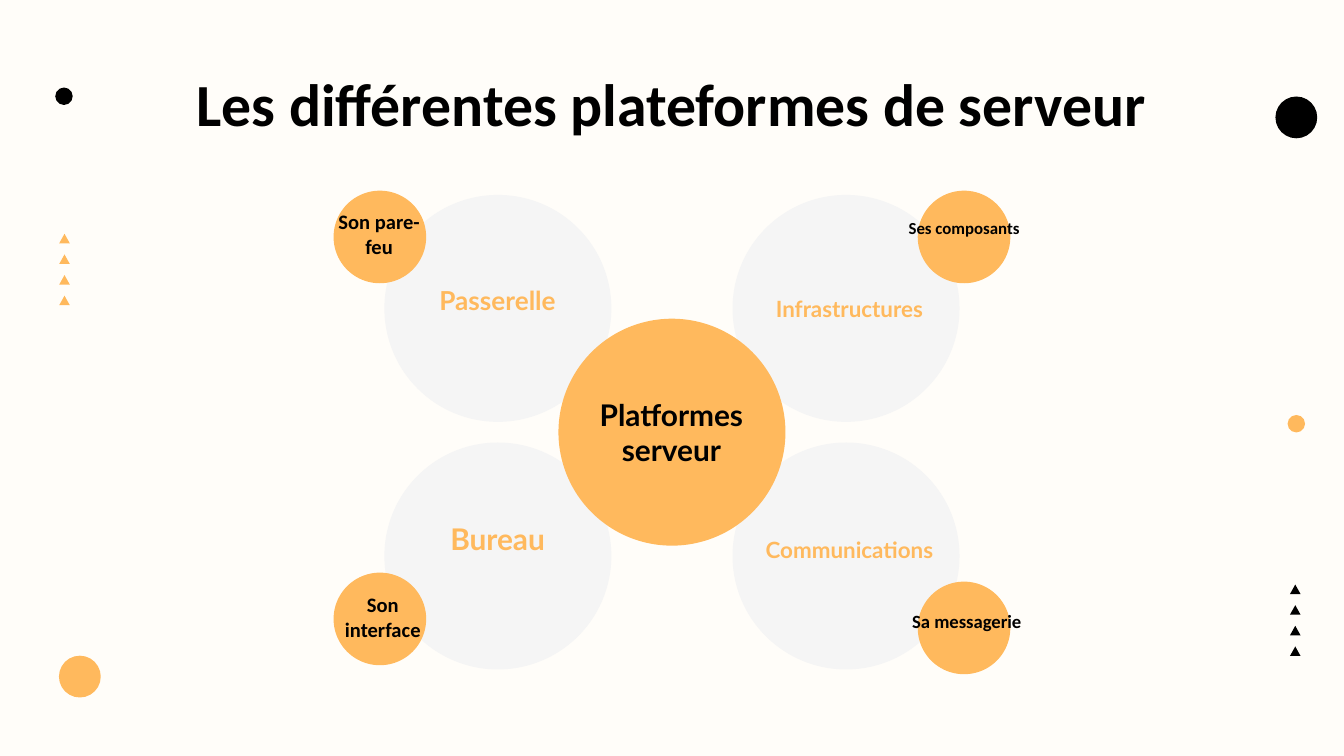
from pptx import Presentation
from pptx import util as u
from pptx.dml import color
from pptx.enum import shapes, text

BLACK, ORANGE, GREY, CREAM = "000000", "FFB95D", "F5F5F5", "FFFDF9"


def rgb(code):
    return color.RGBColor.from_string(code)


class Deck:
    """Hold the style and the current slide, and draw its elements in centimetres."""

    inset = u.Cm(0.25)

    def __init__(self, width, height):
        self.prs = Presentation()
        self.prs.slide_width, self.prs.slide_height = u.Cm(width), u.Cm(height)
        self.s = self.prs.slides.add_slide(self.prs.slide_layouts[6])
        fill = self.s.background.fill
        fill.solid()
        fill.fore_color.rgb = rgb(CREAM)

    def shape(self, kind, x, y, w, h, fill):
        sp = self.s.shapes.add_shape(kind, u.Cm(x), u.Cm(y), u.Cm(w), u.Cm(h))
        sp.shadow.inherit = False
        sp.fill.solid()
        sp.fill.fore_color.rgb = rgb(fill)
        sp.line.fill.background()

    def circle(self, cx, cy, d, fill):
        self.shape(shapes.MSO_SHAPE.OVAL, cx - d / 2, cy - d / 2, d, d, fill)

    def triangles(self, x, y, fill):
        for i in range(4):
            self.shape(shapes.MSO_SHAPE.ISOSCELES_TRIANGLE, x, y + i * 0.39, 0.2, 0.18, fill)

    def label(self, words, x, y, w, h, size, font, ink, anchor=text.MSO_ANCHOR.TOP):
        sp = self.s.shapes.add_textbox(u.Cm(x), u.Cm(y), u.Cm(w), u.Cm(h))
        tf = sp.text_frame
        tf.word_wrap = True
        tf.vertical_anchor = anchor
        tf.margin_left = tf.margin_right = tf.margin_top = tf.margin_bottom = self.inset
        tf.text = words
        p = tf.paragraphs[0]
        p.alignment = text.PP_ALIGN.CENTER
        r = p.runs[0]
        r.font.name, r.font.size, r.font.bold = font, u.Pt(size), True
        r.font.color.rgb = rgb(ink)


def main():
    deck = Deck(25.4, 14.29)

    deck.triangles(24.38, 11.05, BLACK)
    deck.triangles(1.12, 4.42, ORANGE)
    for dot in [(1.51, 12.79, 0.79, ORANGE), (24.5, 8.01, 0.33, ORANGE),
                (1.21, 1.82, 0.33, BLACK), (24.5, 2.22, 0.79, BLACK)]:
        deck.circle(*dot)

    deck.label("Les différentes plateformes de serveur", 0.86, 1.02, 23.67, 1.6, 32, "Calibri", BLACK)

    hub_x, hub_y = 12.7, 8.17
    for dx in (3.29, -3.29):
        for dy in (-2.34, 2.34):
            deck.circle(hub_x + dx, hub_y + dy, 4.29, GREY)
    deck.circle(hub_x, hub_y, 4.29, ORANGE)
    for dx, cy in [(-5.52, 4.48), (5.52, 4.48), (5.52, 11.87), (-5.52, 11.7)]:
        deck.circle(hub_x + dx, cy, 1.75, ORANGE)

    deck.label("Platformes serveur", 10.39, 7.24, 4.6, 1.4, 16, "Lato", BLACK)
    for words, x, y, w, h, size in [
        ("Passerelle", 7.92, 5.13, 2.97, 1.42, 14),
        ("Infrastructures", 13.97, 5.33, 4.17, 1.52, 12),
        ("Bureau", 7.92, 9.6, 2.97, 1.5, 16),
        ("Communications", 13.97, 9.88, 4.17, 1.42, 12),
    ]:
        deck.label(words, x, y, w, h, size, "Lato", ORANGE)
    for words, x, y, w, size in [
        ("Son pare-feu", 6.02, 3.89, 2.29, 11),
        ("Son interface", 6.17, 11.13, 2.13, 11),
        ("Ses composants", 16.81, 3.78, 2.82, 9),
        ("Sa messagerie", 16.81, 11.2, 2.92, 10),
    ]:
        deck.label(words, x, y, w, 1.07, size, "Calibri", BLACK, text.MSO_ANCHOR.MIDDLE)

    deck.prs.save("out.pptx")


if __name__ == "__main__":
    main()
